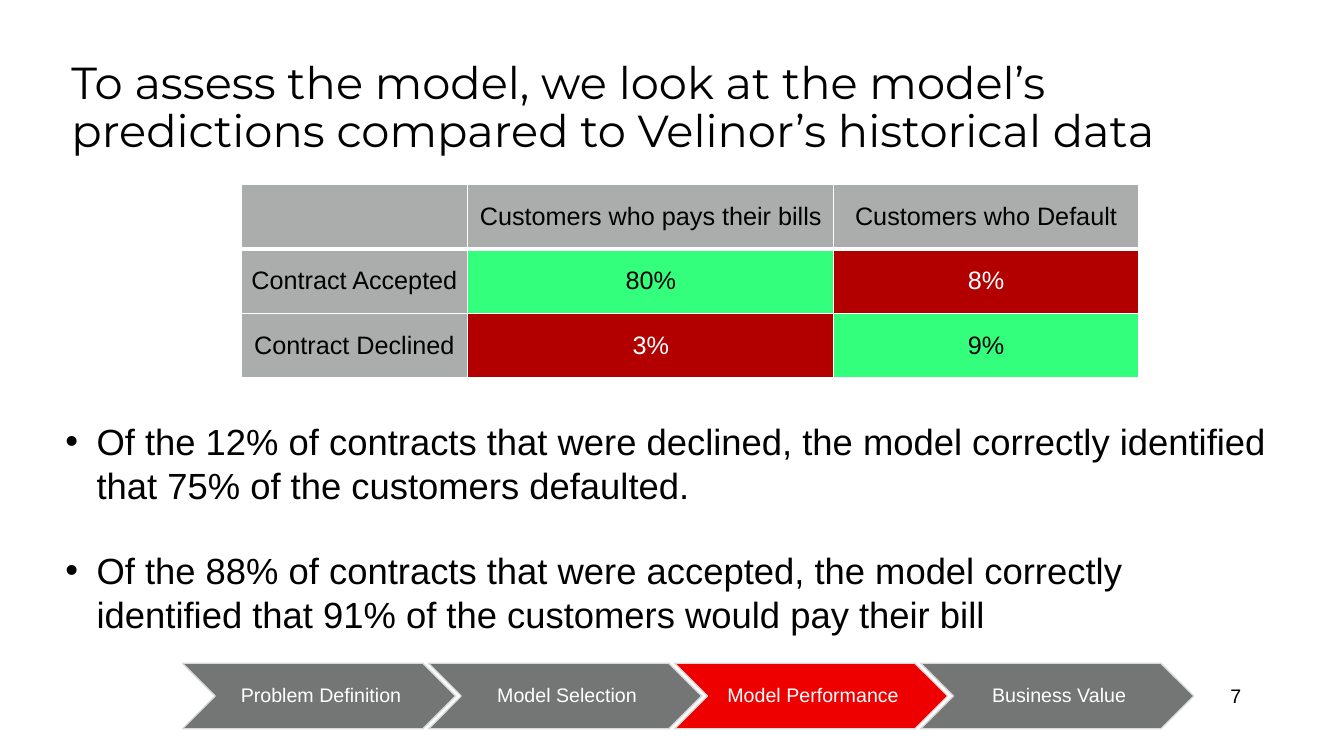
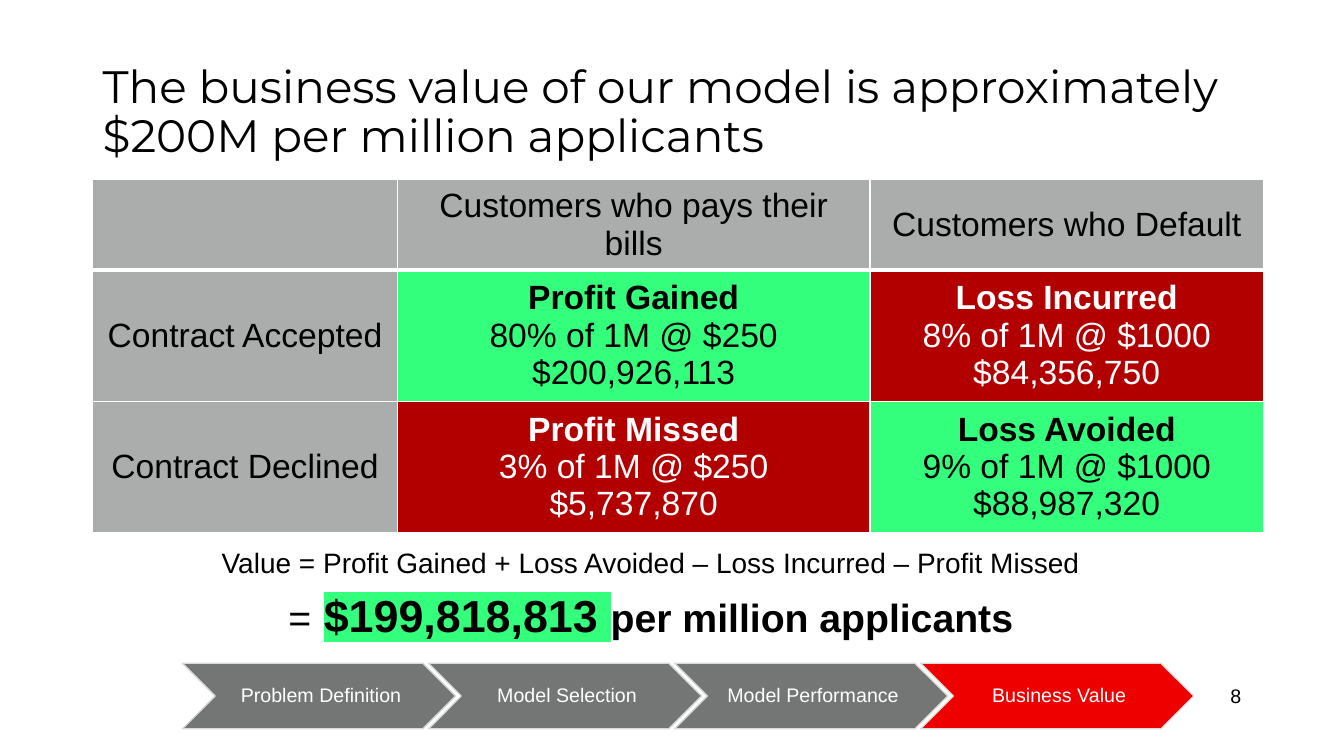
from dataclasses import dataclass

from lxml.etree import SubElement
from pptx import Presentation
from pptx.dml.color import RGBColor
from pptx.enum.shapes import MSO_SHAPE
from pptx.enum.text import MSO_ANCHOR, PP_ALIGN
from pptx.oxml.ns import qn
from pptx.util import Inches, Pt


@dataclass(frozen=True)
class Theme:
    """Colours, fonts and type sizes shared by the slides."""
    ink: str = "000000"
    paper: str = "FFFFFF"
    label: str = "ABADAD"
    good: str = "34FF7D"
    bad: str = "B20000"
    step: str = "747676"
    active: str = "EE0000"
    edge: str = "D8DADA"
    head_font: str = "Montserrat"
    body_font: str = "Arial"
    title: float = 32
    wide_title: float = 32.4
    bullet: float = 26
    table: float = 18
    big_table: float = 24
    formula: float = 20
    result: float = 28
    amount: float = 32
    small: float = 14


T = Theme()
STEPS = ("Problem Definition", "Model Selection", "Model Performance", "Business Value")
COLUMNS = ("", "Customers who pays their bills", "Customers who Default")
ROWS = ("Contract Accepted", "Contract Declined")
CELL_FILLS = ((T.good, T.bad), (T.bad, T.good))
CENTER = {"alignment": PP_ALIGN.CENTER}
MIDDLE = {"vertical_anchor": MSO_ANCHOR.MIDDLE}


def apply(obj, fmt):
    """Set each attribute of a format dict on an object."""
    for name, value in fmt.items():
        setattr(obj, name, value)


def add_run(p, text, size, color=T.ink, font=T.body_font, bold=False, highlight=None):
    """Append a formatted run to a paragraph."""
    r = p.add_run()
    r.text = text
    apply(r.font, {"size": Pt(size), "name": font, "bold": bold})
    r.font.color.rgb = RGBColor.from_string(color)
    if highlight:
        rpr = r.font._element
        mark = SubElement(rpr, qn("a:highlight"))
        SubElement(mark, qn("a:srgbClr"), val=highlight)
        rpr.find(qn("a:latin")).addprevious(mark)


def write(tf, paras, fmt):
    """Fill a text frame with paragraphs, each a list of run dicts."""
    for i, runs in enumerate(paras):
        p = tf.add_paragraph() if i else tf.paragraphs[0]
        apply(p, fmt)
        for run in runs:
            add_run(p, **run)


def add_text(s, box, paras, fmt, frame=None):
    """Add a wrapping text box and return its frame."""
    tf = s.shapes.add_textbox(*map(Inches, box)).text_frame
    apply(tf, {"word_wrap": True, **(frame or {})})
    write(tf, paras, fmt)
    return tf


def add_title(s, text, box, size):
    """Add the slide title."""
    run = {"text": text, "size": size, "font": T.head_font}
    add_text(s, box, [[run]], {"line_spacing": 0.9}, MIDDLE)


def add_bullets(s, box, lines):
    """Add a bulleted list with a line of space between items."""
    paras = [[{"text": line, "size": T.bullet}] for line in lines]
    tf = add_text(s, box, paras, {})
    for i, p in enumerate(tf.paragraphs):
        p.space_before = Pt(30 if i else 0)
        ppr = p._p.get_or_add_pPr()
        for name, value in (("marL", Inches(0.31)), ("indent", Inches(-0.31))):
            ppr.set(name, str(value))
        SubElement(ppr, qn("a:buFont"), typeface=T.body_font)
        SubElement(ppr, qn("a:buChar"), char="•")


def set_borders(cell, row):
    """Draw white cell borders, heavier under the header row."""
    tcpr = cell._tc.get_or_add_tcPr()
    heavy = {0: "lnB", 1: "lnT"}.get(row)
    for side in ("lnL", "lnR", "lnT", "lnB"):
        ln = SubElement(tcpr, qn(f"a:{side}"), w=str(Pt(3 if side == heavy else 1)))
        SubElement(SubElement(ln, qn("a:solidFill")), qn("a:srgbClr"), val=T.paper)


def add_matrix(s, pos, widths, heights, values, size):
    """Add the outcome table; a value of several lines has a bold first line."""
    w, h = sum(widths), sum(heights)
    tbl = s.shapes.add_table(3, 3, *map(Inches, (*pos, w, h))).table
    apply(tbl, {"first_row": False, "horz_banding": False})
    for col, width in zip(tbl.columns, widths):
        col.width = Inches(width)
    for row, height in zip(tbl.rows, heights):
        row.height = Inches(height)
    texts = [COLUMNS] + [(name, *vals) for name, vals in zip(ROWS, values)]
    for i, row in enumerate(texts):
        for j, text in enumerate(row):
            cell = tbl.cell(i, j)
            fill = CELL_FILLS[i - 1][j - 1] if i and j else T.label
            color = T.paper if fill == T.bad else T.ink
            lines = text.split("\n")
            set_borders(cell, i)
            cell.fill.solid()
            cell.fill.fore_color.rgb = RGBColor.from_string(fill)
            apply(cell, MIDDLE)
            paras = [[{"text": line, "size": size, "color": color,
                       "bold": len(lines) > 1 and k == 0}] if line else []
                     for k, line in enumerate(lines)]
            write(cell.text_frame, paras, CENTER)


def add_footer(s, current, number):
    """Add the chevron progress band and the slide number."""
    group = s.shapes.add_group_shape()
    for i, step in enumerate(STEPS):
        box = map(Inches, (1.81 + 2.44 * i, 6.58, 2.71, 0.65))
        sp = group.shapes.add_shape(MSO_SHAPE.CHEVRON, *box)
        sp.shadow.inherit = False
        sp.fill.solid()
        sp.fill.fore_color.rgb = RGBColor.from_string(T.active if step == current else T.step)
        sp.line.color.rgb = RGBColor.from_string(T.edge)
        sp.line.width = Pt(1)
        small = Inches(0.02)
        apply(sp.text_frame, {"word_wrap": True, "margin_left": Inches(0.06),
                              "margin_right": small, "margin_top": small,
                              "margin_bottom": small, **MIDDLE})
        write(sp.text_frame, [[{"text": step, "size": T.small, "color": T.paper}]],
              {**CENTER, "line_spacing": 0.9})
    add_text(s, (11.6, 6.7, 0.81, 0.4), [[{"text": str(number), "size": T.small}]],
             {"alignment": PP_ALIGN.RIGHT}, MIDDLE)


def build_performance(s):
    """Build the model performance slide."""
    add_title(s, "To assess the model, we look at the model’s predictions "
              "compared to Velinor’s historical data", (0.61, 0.4, 12.18, 1.36), T.title)
    add_matrix(s, (2.39, 1.83), (2.25, 3.63, 3.02), (0.64,) * 3,
               (("80%", "8%"), ("3%", "9%")), T.table)
    add_bullets(s, (0.55, 4.11, 12.18, 2.29), (
        "Of the 12% of contracts that were declined, the model correctly "
        "identified that 75% of the customers defaulted.",
        "Of the 88% of contracts that were accepted, the model correctly "
        "identified that 91% of the customers would pay their bill"))
    add_footer(s, "Model Performance", 7)


def build_value(s):
    """Build the business value slide."""
    add_title(s, "The business value of our model is approximately $200M "
              "per million applicants", (0.92, 0.4, 11.5, 1.45), T.wide_title)
    add_matrix(s, (0.92, 1.78), (3.02, 4.69, 3.9), (0.84, 1.22, 1.22), (
        ("Profit Gained\n80% of 1M @ $250\n$200,926,113",
         "Loss Incurred\n8% of 1M @ $1000\n$84,356,750"),
        ("Profit Missed\n3% of 1M @ $250\n$5,737,870",
         "Loss Avoided\n9% of 1M @ $1000\n$88,987,320")), T.big_table)
    formula = "Value = Profit Gained + Loss Avoided – Loss Incurred – Profit Missed"
    add_text(s, (0.59, 5.4, 11.73, 1.05), [
        [{"text": formula, "size": T.formula}],
        [{"text": "=", "size": T.result},
         {"text": " ", "size": T.amount},
         {"text": "$199,818,813 ", "size": T.amount, "bold": True, "highlight": T.good},
         {"text": "per million applicants", "size": T.result, "bold": True}],
    ], {**CENTER, "line_spacing": 0.9, "space_before": Pt(10)})
    add_footer(s, "Business Value", 8)


def main():
    """Build and save the presentation."""
    prs = Presentation()
    apply(prs, {"slide_width": Inches(13.33), "slide_height": Inches(7.5)})
    for build in (build_performance, build_value):
        build(prs.slides.add_slide(prs.slide_layouts[6]))
    prs.save("out.pptx")


if __name__ == "__main__":
    main()
